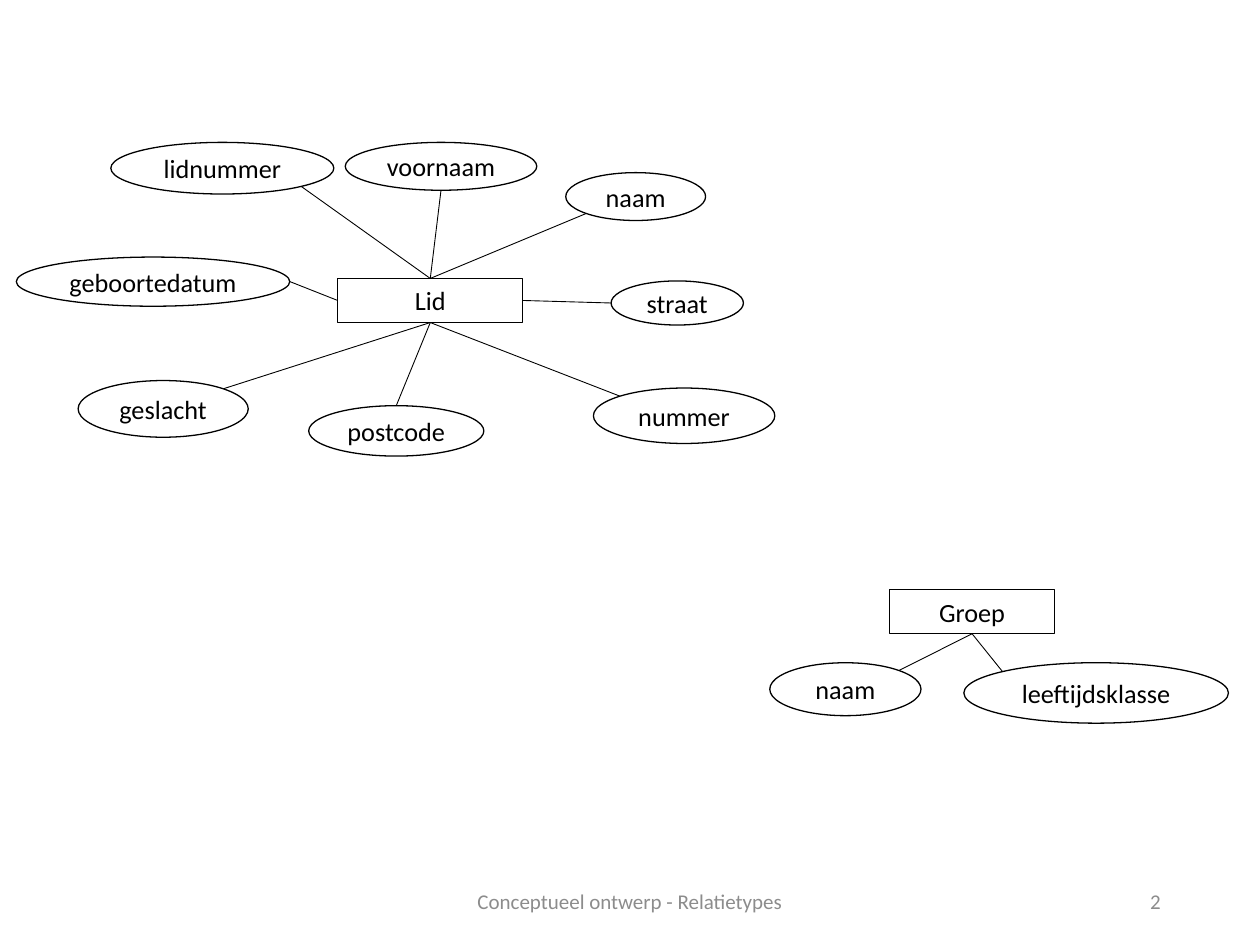
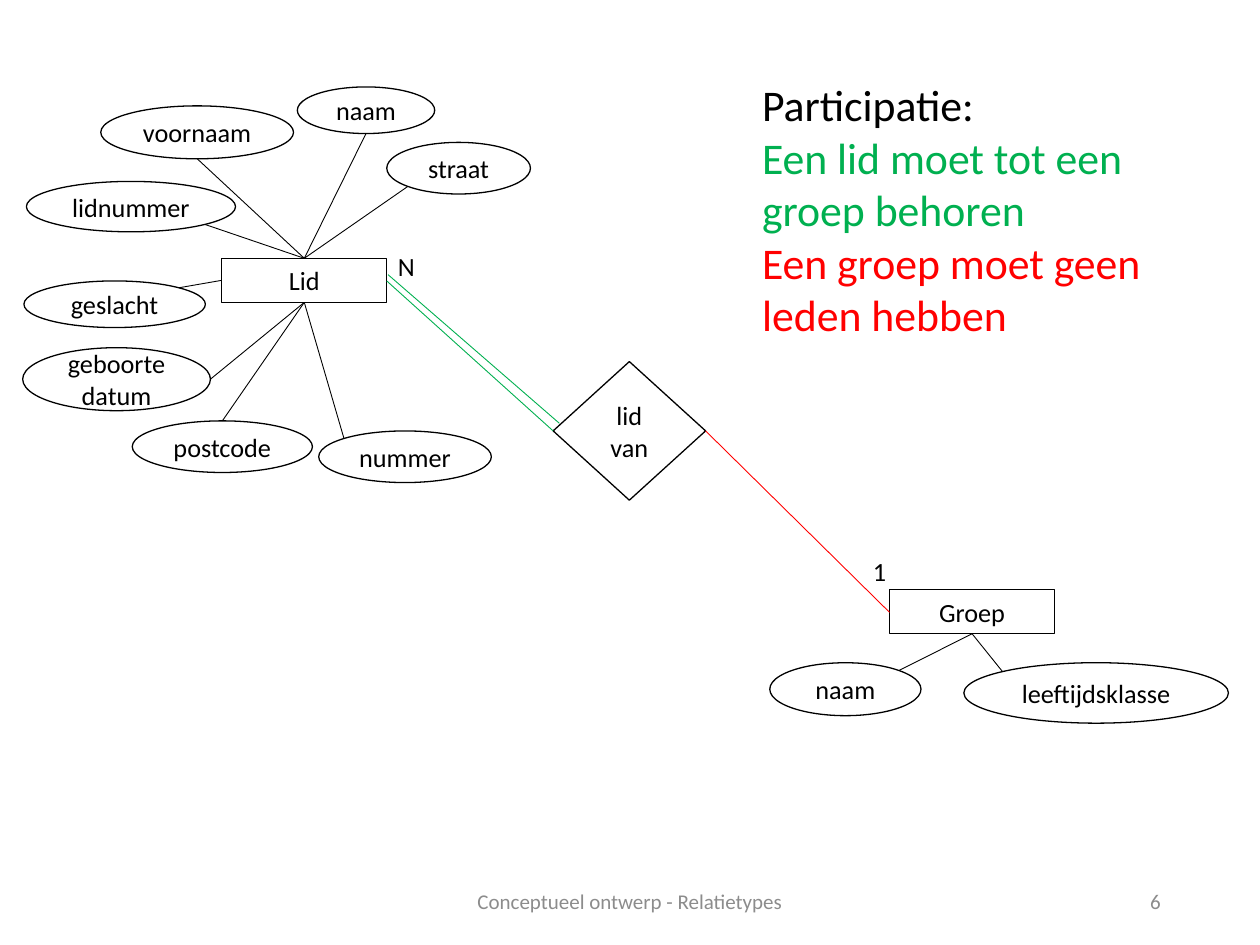
from lxml import etree
from pptx import Presentation
from pptx.dml.color import RGBColor
from pptx.enum.shapes import MSO_CONNECTOR, MSO_SHAPE
from pptx.enum.text import MSO_ANCHOR, PP_ALIGN
from pptx.oxml.ns import qn
from pptx.util import Pt

PX = 9144
BLANK_LAYOUT = 6
RECTANGLE, ELLIPSE, DIAMOND = MSO_SHAPE.RECTANGLE, MSO_SHAPE.OVAL, MSO_SHAPE.DIAMOND
STRAIGHT = MSO_CONNECTOR.STRAIGHT
TOP, MIDDLE = MSO_ANCHOR.TOP, MSO_ANCHOR.MIDDLE
LEFT, CENTER, RIGHT = PP_ALIGN.LEFT, PP_ALIGN.CENTER, PP_ALIGN.RIGHT
BLACK = RGBColor(0x00, 0x00, 0x00)
WHITE = RGBColor(0xFF, 0xFF, 0xFF)
GREEN = RGBColor(0x00, 0xB0, 0x50)
RED = RGBColor(0xFF, 0x00, 0x00)
GRAY = RGBColor(0x8C, 0x8C, 0x8C)

DIAGONAL = 0.146
SITES = {
    "n": (0.5, 0), "s": (0.5, 1), "w": (0, 0.5), "e": (1, 0.5),
    "nw": (DIAGONAL, DIAGONAL), "ne": (1 - DIAGONAL, DIAGONAL),
    "sw": (DIAGONAL, 1 - DIAGONAL), "se": (1 - DIAGONAL, 1 - DIAGONAL),
}
FOOTER = "Conceptueel ontwerp - Relatietypes"

GROEP = ("Groep", (706, 468, 131, 35), [
    ("naam", (611, 526, 120, 42), "ne", "s"),
    ("leeftijdsklasse", (765, 526, 210, 48), "nw", "s"),
])
LID_WIDE = ("Lid", (268, 221, 147, 35), [
    ("lidnummer", (88, 113, 177, 41), "se", "n"),
    ("voornaam", (274, 113, 152, 38), "s", "n"),
    ("naam", (449, 137, 111, 38), "sw", "n"),
    ("straat", (485, 223, 105, 35), "w", "e"),
    ("nummer", (471, 308, 144, 44), "nw", "s"),
    ("postcode", (245, 322, 139, 40), "n", "s"),
    ("geslacht", (62, 302, 135, 45), "ne", "s"),
    ("geboortedatum", (13, 204, 217, 39), "e", "w"),
])
LID_COMPACT = ("Lid", (176, 205, 131, 35), [
    ("lidnummer", (21, 144, 166, 40), "se", "n"),
    ("voornaam", (80, 84, 153, 42), "s", "n"),
    ("naam", (236, 69, 109, 37), "s", "n"),
    ("straat", (307, 113, 114, 41), "sw", "n"),
    ("nummer", (253, 342, 137, 41), "nw", "s"),
    ("postcode", (105, 334, 143, 41), "n", "s"),
    ("geslacht", (19, 223, 144, 37), "ne", "w"),
    ("geboortedatum", (18, 276, 149, 50), "e", "s"),
])
PAGES = [("2", [GROEP, LID_WIDE]), ("6", [LID_COMPACT, GROEP])]


def add_text(page, lines, place, kind=None, size=15, align=CENTER, anchor=MIDDLE, wrap=True):
    frame = [length * PX for length in place]
    if kind is None:
        box = page.shapes.add_textbox(*frame)
    else:
        box = page.shapes.add_shape(kind, *frame)
        box.shadow.inherit = False
        box.fill.solid()
        box.fill.fore_color.rgb = WHITE
        box.line.color.rgb = BLACK
        box.line.width = Pt(0.75)
    text_frame = box.text_frame
    text_frame.word_wrap = wrap
    text_frame.vertical_anchor = anchor
    for index, (text, color) in enumerate(lines):
        para = text_frame.add_paragraph() if index else text_frame.paragraphs[0]
        para.alignment = align
        span = para.add_run()
        span.text = text
        for name, value in {"name": "Calibri", "size": Pt(size)}.items():
            setattr(span.font, name, value)
        span.font.color.rgb = color


def add_line(page, start, end, color=BLACK):
    line = page.shapes.add_connector(STRAIGHT, *[round(length * PX) for length in start + end])
    line.line.color.rgb = color
    line.line.width = Pt(0.5)
    etree.SubElement(line._element.spPr, qn("a:effectLst"))


deck = Presentation()
deck.slide_width = 1000 * PX
deck.slide_height = 750 * PX

for number, entities in PAGES:
    page = deck.slides.add_slide(deck.slide_layouts[BLANK_LAYOUT])
    for entity, entity_place, attributes in entities:
        add_text(page, [(entity, BLACK)], entity_place, RECTANGLE, anchor=TOP)
        for attribute, place, attribute_site, entity_site in attributes:
            add_text(page, [(attribute, BLACK)], place, ELLIPSE)
            ends = []
            for (left, top, width, height), site in ((place, attribute_site), (entity_place, entity_site)):
                across, down = SITES[site]
                ends.append((left + across * width, top + down * height))
            add_line(page, *ends)
    add_text(page, [(FOOTER, GRAY)], (331, 695, 338, 40), size=12)
    add_text(page, [(number, GRAY)], (706, 695, 225, 40), size=12, align=RIGHT)

add_text(page, [("lid van", BLACK)], (439, 287, 121, 110), DIAMOND)
for start, end, color in [
    ((439, 342), (307, 223), GREEN),
    ((444, 336), (308, 218), GREEN),
    ((706, 486), (560, 342), RED),
]:
    add_line(page, start, end, color)
for cardinality, place in [("N", (306, 194, 34, 35)), ("1", (683, 436, 31, 35))]:
    add_text(page, [(cardinality, BLACK)], place, align=LEFT, anchor=TOP, wrap=False)
participation = [
    ("Participatie:", BLACK),
    ("Een lid moet tot een groep behoren", GREEN),
    ("Een groep moet geen leden hebben", RED),
]
add_text(page, participation, (595, 57, 359, 220), size=25, align=LEFT, anchor=TOP)

deck.save("out.pptx")
